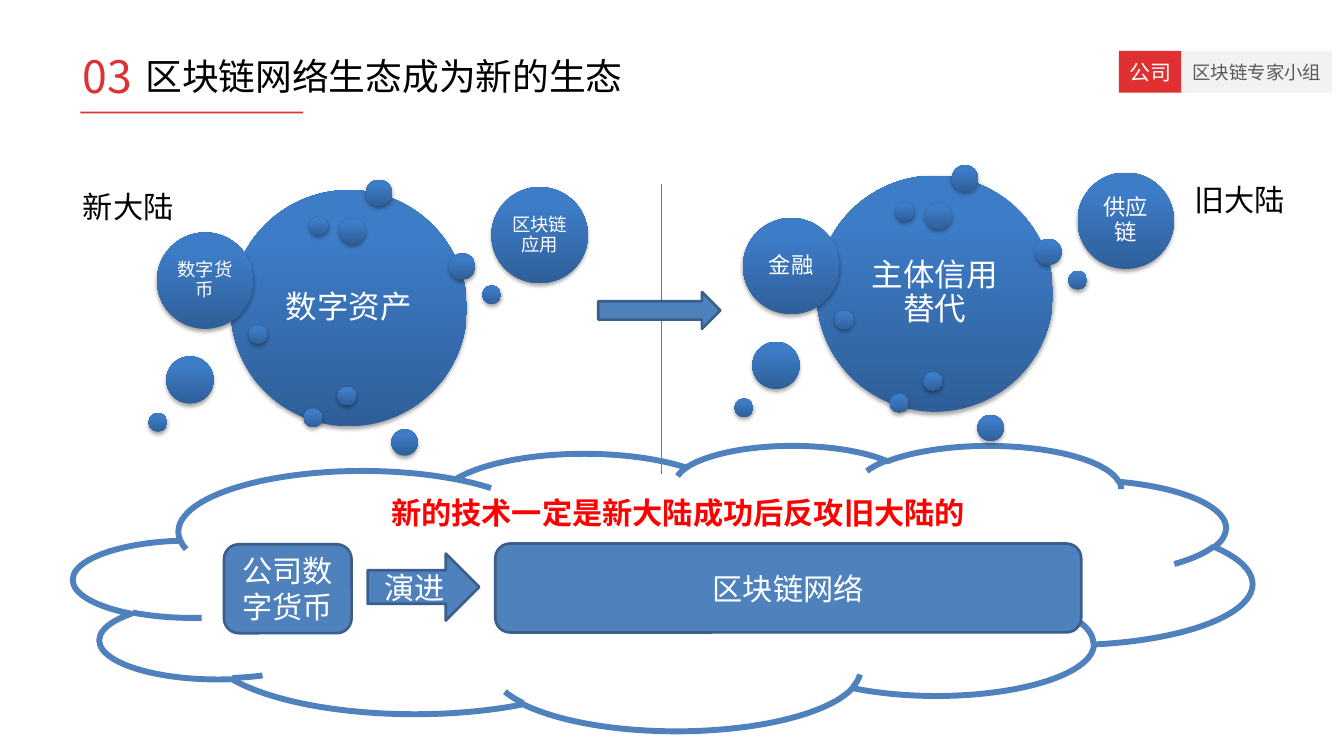
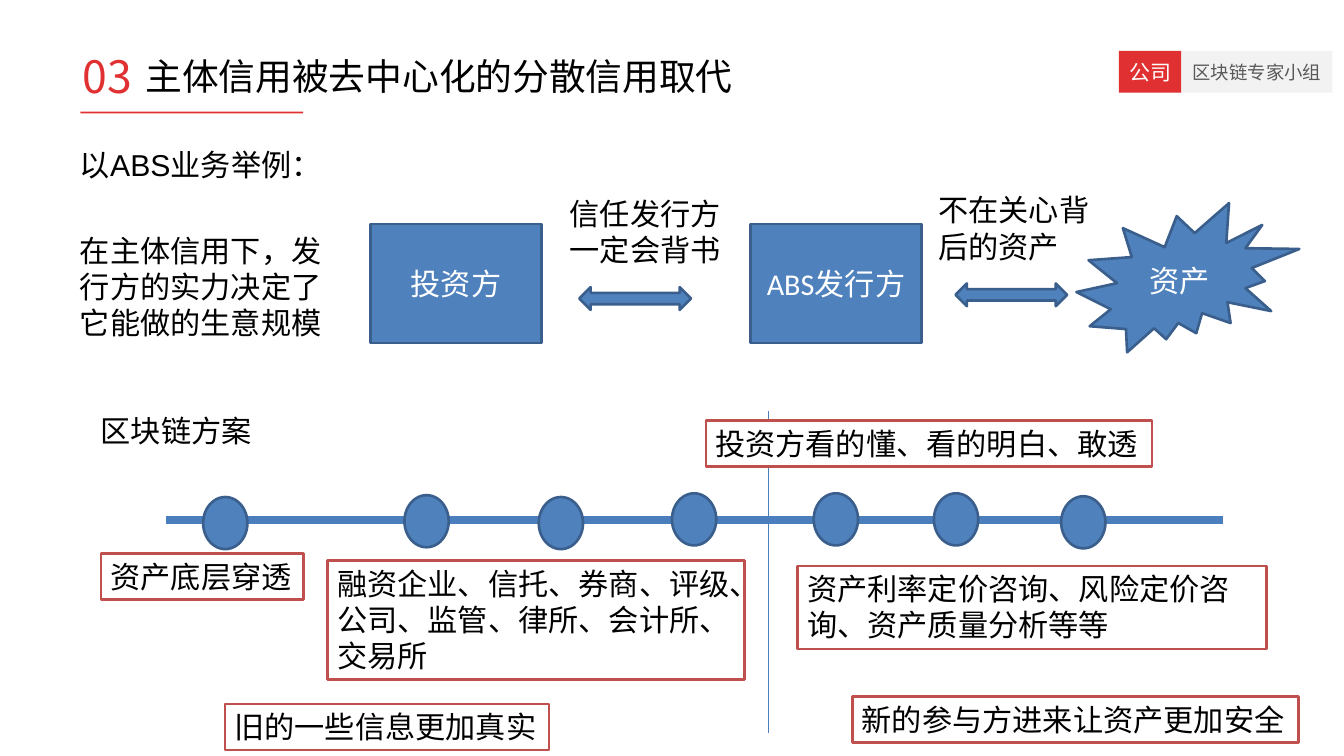
from dataclasses import dataclass

from lxml import etree
from pptx import Presentation
from pptx.dml.color import RGBColor
from pptx.enum.shapes import MSO_CONNECTOR, MSO_SHAPE
from pptx.enum.text import MSO_ANCHOR, MSO_AUTO_SIZE, PP_ALIGN
from pptx.oxml.ns import qn
from pptx.util import Cm, Pt

RECT = MSO_SHAPE.RECTANGLE
ROUNDED = MSO_SHAPE.ROUNDED_RECTANGLE
OVAL = MSO_SHAPE.OVAL
CLOUD = MSO_SHAPE.CLOUD
BURST = MSO_SHAPE.EXPLOSION2
RIGHT_ARROW = MSO_SHAPE.RIGHT_ARROW
BOTH_ARROW = MSO_SHAPE.LEFT_RIGHT_ARROW
STRAIGHT = MSO_CONNECTOR.STRAIGHT
LEFT, CENTER = PP_ALIGN.LEFT, PP_ALIGN.CENTER
TOP, MIDDLE = MSO_ANCHOR.TOP, MSO_ANCHOR.MIDDLE
GROW = MSO_AUTO_SIZE.SHAPE_TO_FIT_TEXT


@dataclass(frozen=True)
class Theme:
    red: str = "E03031"
    alert: str = "FF0000"
    frame: str = "C0504D"
    blue: str = "4F81BD"
    edge: str = "3A5F8C"
    rule: str = "4B7EBC"
    bubble_dark: str = "2F5F99"
    bubble_light: str = "3D7CC7"
    pale: str = "F2F2F2"
    grey: str = "595959"
    white: str = "FFFFFF"
    black: str = "000000"
    heading_font: str = "Noto Sans CJK SC"
    shape_font: str = "Calibri"
    note_font: str = "Arial"
    number_size: int = 34
    title_size: int = 28
    core_size: int = 24
    body_size: int = 23
    badge_size: int = 16
    team_size: int = 14


THEME = Theme()

CORE = (2.21, 0.28, 6.35)
LEFT_MOON = (0.23, 1.42, 2.59)
RIGHT_MOON = (9.22, 0.2, 2.59)
BUBBLES = [
    CORE, (5.84, 0, 0.71), (4.17, 6.15, 0.51), (8.97, 2.84, 0.51),
    (6.53, 6.71, 0.71), (4.32, 0.99, 0.51), (2.69, 3.91, 0.51), LEFT_MOON,
    (5.13, 1.02, 0.71), (0.48, 4.75, 1.27), RIGHT_MOON, (8.08, 1.98, 0.71),
    (0, 6.27, 0.51), (5.08, 5.56, 0.51),
]

NODE_WIDTH, NODE_HEIGHT = 1.19, 1.4
NODES = [(5.46, 13.36), (10.87, 13.31), (14.48, 13.36), (18.06, 13.26),
         (21.87, 13.26), (25.1, 13.26), (28.52, 13.34)]


def rgb(value):
    return RGBColor.from_string(value)


def write(shape, text, size, color, font, align=LEFT, anchor=TOP,
          wrap=True, bold=False, margins=None, spacing=None):
    frame = shape.text_frame
    frame.text = text
    frame.word_wrap = wrap
    frame.vertical_anchor = anchor
    if margins:
        frame.margin_left = frame.margin_right = Cm(margins[0])
        frame.margin_top = frame.margin_bottom = Cm(margins[1])
    paragraph = frame.paragraphs[0]
    paragraph.alignment = align
    if spacing:
        paragraph.line_spacing = spacing
    for run in paragraph.runs:
        run.font.size = Pt(size)
        run.font.bold = bold
        run.font.name = font
        run.font.color.rgb = rgb(color)
        east_asian = etree.SubElement(run.font._element, qn("a:ea"))
        east_asian.set("typeface", THEME.heading_font)


def add_block(slide, kind, box, fill=THEME.blue, edge=THEME.edge, width=2):
    block = slide.shapes.add_shape(kind, *map(Cm, box))
    block.shadow.inherit = False
    block.fill.solid()
    block.fill.fore_color.rgb = rgb(fill)
    if edge:
        block.line.color.rgb = rgb(edge)
        block.line.width = Pt(width)
    else:
        block.line.fill.background()
    return block


def add_labelled_block(slide, kind, box, text):
    block = add_block(slide, kind, box)
    write(block, text, THEME.body_size, THEME.white, THEME.shape_font,
          CENTER, MIDDLE)


def add_badge(slide, box, text, fill, color, size):
    badge = add_block(slide, RECT, box, fill, None)
    write(badge, text, size, color, THEME.heading_font, CENTER, MIDDLE)


def add_heading(slide, box, text, size, color):
    heading = slide.shapes.add_textbox(*map(Cm, box))
    write(heading, text, size, color, THEME.heading_font, anchor=MIDDLE,
          margins=(0.33, 0.15))


def add_note(slide, box, text, wrap=False, color=THEME.black, bold=False):
    note = slide.shapes.add_textbox(*map(Cm, box))
    write(note, text, THEME.body_size, color, THEME.note_font,
          wrap=wrap, bold=bold)
    note.text_frame.auto_size = GROW


def add_framed_note(slide, box, text, wrap=False):
    note = add_block(slide, RECT, box, THEME.white, THEME.frame)
    write(note, text, THEME.body_size, THEME.black, THEME.shape_font,
          wrap=wrap)
    note.text_frame.auto_size = GROW


def add_rule(slide, x1, y1, x2, y2, width):
    rule = slide.shapes.add_connector(STRAIGHT, Cm(x1), Cm(y1), Cm(x2), Cm(y2))
    rule.line.color.rgb = rgb(THEME.rule)
    rule.line.width = Pt(width)
    etree.SubElement(rule._element.spPr, qn("a:effectLst"))


def add_drop_shadow(shape):
    effects = shape._element.spPr.find(qn("a:effectLst"))
    shadow = etree.SubElement(
        effects, qn("a:outerShdw"), blurRad=str(Pt(3.1)), dist=str(Pt(1.8)),
        dir="5400000", rotWithShape="0")
    color = etree.SubElement(shadow, qn("a:srgbClr"), val=THEME.black)
    etree.SubElement(color, qn("a:alpha"), val="35000")


def add_bubble(slide, left, top, diameter):
    bubble = add_block(slide, OVAL, (left, top, diameter, diameter), edge=None)
    bubble.fill.gradient()
    bubble.fill.gradient_angle = 90
    bottom, upper = bubble.fill.gradient_stops
    bottom.position, upper.position = 0, 0.8
    bottom.color.rgb = rgb(THEME.bubble_dark)
    upper.color.rgb = rgb(THEME.bubble_light)
    add_drop_shadow(bubble)
    return bubble


def add_bubble_cluster(slide, left, top, core, left_moon, right_moon,
                       moon_size, moon_margin):
    labels = {
        CORE: (core, THEME.core_size, 0.25),
        LEFT_MOON: (left_moon, moon_size, moon_margin),
        RIGHT_MOON: (right_moon, moon_size, moon_margin),
    }
    for spot in BUBBLES:
        dx, dy, diameter = spot
        bubble = add_bubble(slide, left + dx, top + dy, diameter)
        if spot in labels:
            text, size, margin = labels[spot]
            write(bubble, text, size, THEME.white, THEME.shape_font, CENTER,
                  MIDDLE, margins=(margin, margin), spacing=0.9)


def add_base(deck, title):
    slide = deck.slides.add_slide(deck.slide_layouts[6])
    add_block(slide, RECT, (2.16, 3, 5.99, 0.05), THEME.red, None)
    add_badge(slide, (30.07, 1.37, 1.68, 1.12), "公司", THEME.red,
              THEME.white, THEME.badge_size)
    add_badge(slide, (31.75, 1.37, 4.06, 1.12), "区块链专家小组", THEME.pale,
              THEME.grey, THEME.team_size)
    return slide, title


def add_titles(slide, title):
    add_heading(slide, (3.58, 0.91, 27.1, 2.24), title,
                THEME.title_size, THEME.black)
    add_heading(slide, (1.9, 0.91, 2.95, 2.24), "03",
                THEME.number_size, THEME.red)


def build_ecosystem(deck):
    slide, title = add_base(deck, "区块链网络生态成为新的生态")
    add_block(slide, CLOUD, (1.98, 11.96, 31.67, 7.67), THEME.white,
              THEME.blue, 4.5)
    add_titles(slide, title)
    add_labelled_block(slide, ROUNDED, (6.02, 14.63, 3.43, 2.39), "公司数字货币")
    add_labelled_block(slide, RIGHT_ARROW, (9.88, 14.88, 3, 1.8), "演进")
    add_labelled_block(slide, ROUNDED, (13.31, 14.61, 15.75, 2.39), "区块链网络")
    add_rule(slide, 17.78, 4.95, 17.78, 12.75, 0.75)
    add_bubble_cluster(slide, 3.99, 4.83, "数字资产", "数字货币", "区块链应用",
                       14, 0.15)
    add_bubble_cluster(slide, 19.74, 4.44, "主体信用替代", "金融", "供应链",
                       17, 0.18)
    add_block(slide, RIGHT_ARROW, (16.08, 7.85, 3.28, 0.99))
    add_note(slide, (10.26, 13.16, 16.18, 1.24),
             "新的技术一定是新大陆成功后反攻旧大陆的",
             color=THEME.alert, bold=True)
    add_note(slide, (1.98, 4.95, 2.97, 1.24), "新大陆")
    add_note(slide, (31.85, 4.75, 2.97, 1.24), "旧大陆")


def build_credit(deck):
    slide, title = add_base(deck, "主体信用被去中心化的分散信用取代")
    add_titles(slide, title)
    add_labelled_block(slide, RECT, (20.17, 6.02, 4.6, 3.2), "ABS发行方")
    add_labelled_block(slide, RECT, (9.96, 6.02, 4.6, 3.2), "投资方")
    add_block(slide, BOTH_ARROW, (15.57, 7.72, 3, 0.61))
    add_note(slide, (15.06, 5.13, 5, 2.24), "信任发行方一定会背书", True)
    add_labelled_block(slide, BURST, (28.93, 5.46, 5.99, 4.01), "资产")
    add_block(slide, BOTH_ARROW, (25.68, 7.62, 3, 0.61))
    add_note(slide, (24.97, 5.03, 5, 2.24), "不在关心背后的资产", True)
    add_note(slide, (1.9, 6.12, 7.04, 3.2),
             "在主体信用下，发行方的实力决定了它能做的生意规模", True)
    add_note(slide, (1.9, 3.81, 7.06, 1.24), "以ABS业务举例：", True)
    add_note(slide, (2.46, 10.95, 4.6, 1.24), "区块链方案")
    add_rule(slide, 4.47, 13.97, 32.87, 13.97, 6)
    for left, top in NODES:
        add_block(slide, OVAL, (left, top, NODE_WIDTH, NODE_HEIGHT))
    add_rule(slide, 20.65, 11.05, 20.65, 19.69, 0.75)
    add_framed_note(slide, (2.72, 14.88, 5.44, 1.24), "资产底层穿透")
    add_framed_note(slide, (8.81, 15.06, 11.2, 3.2),
                    "融资企业、信托、券商、评级、公司、监管、律所、会计所、交易所", True)
    add_framed_note(slide, (6.05, 18.92, 8.71, 1.24), "旧的一些信息更加真实")
    add_framed_note(slide, (22.91, 18.72, 11.99, 1.24),
                    "新的参与方进来让资产更加安全")
    add_framed_note(slide, (21.44, 15.21, 12.6, 2.24),
                    "资产利率定价咨询、风险定价咨询、资产质量分析等等", True)
    add_framed_note(slide, (18.97, 11.3, 11.99, 1.24),
                    "投资方看的懂、看的明白、敢透")


def main():
    deck = Presentation()
    deck.slide_width, deck.slide_height = Cm(36.12), Cm(20.32)
    build_ecosystem(deck)
    build_credit(deck)
    deck.save("out.pptx")


if __name__ == "__main__":
    main()
